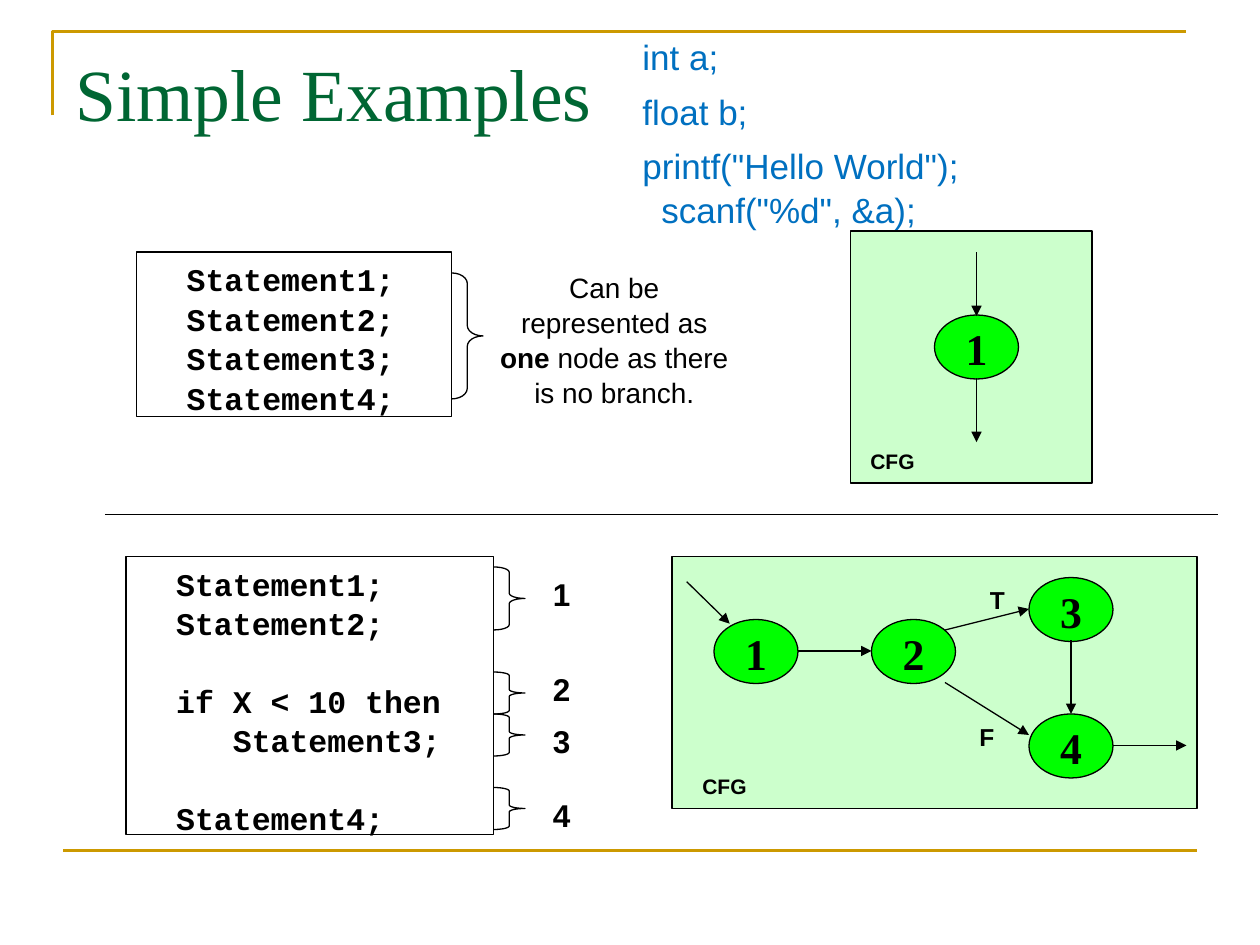
import pptx
import pptx.util
import pptx.dml.color
import pptx.enum.shapes
import pptx.enum.text
import pptx.oxml.ns
import lxml.etree

PX = 7620
BLACK = "000000"
GOLD = "CC9900"
SHAPES = pptx.enum.shapes.MSO_SHAPE
ALIGN = pptx.enum.text.PP_ALIGN
ANCHOR = pptx.enum.text.MSO_ANCHOR
CODE = {"name": "Courier New", "size": 18, "bold": True}
NODE = {"name": "Times New Roman", "size": 25, "bold": True}
TITLE = {"name": "Times New Roman", "size": 42, "color": "006633"}
DECLARATION = {"name": "Arial", "size": 20, "color": "0070C0"}
NOTE = {"name": "Arial", "size": 16}


def label_font(size):
    return {"name": "Arial", "size": size, "bold": True}


def px(*lengths):
    return [pptx.util.Emu(length * PX) for length in lengths]


def paint(color_format, value):
    color_format.rgb = pptx.dml.color.RGBColor.from_string(value)


def set_font(font, values):
    for name, value in {"color": BLACK, **values}.items():
        if name == "color":
            paint(font.color, value)
        else:
            setattr(font, name, pptx.util.Pt(value) if name == "size" else value)


def style_outline(shape, fill=None, color=BLACK, width=0.75):
    shape.shadow.inherit = False
    if fill:
        shape.fill.solid()
        paint(shape.fill.fore_color, fill)
    else:
        shape.fill.background()
    paint(shape.line.color, color)
    shape.line.width = pptx.util.Pt(width)


def add_shape(slide, kind, box, **style):
    shape = slide.shapes.add_shape(kind, *px(*box))
    style_outline(shape, **style)
    return shape


def write(shape, lines, font, align=ALIGN.LEFT, anchor=ANCHOR.TOP, wrap=True):
    frame = shape.text_frame
    frame.word_wrap = wrap
    frame.vertical_anchor = anchor
    for index, line in enumerate(lines):
        paragraph = frame.add_paragraph() if index else frame.paragraphs[0]
        paragraph.alignment = align
        paragraph.line_spacing = 1.05
        for text, emphasis in [(line, {})] if isinstance(line, str) else line:
            run = paragraph.add_run()
            run.text = text
            set_font(run.font, {**font, **emphasis})
    return frame.paragraphs


def add_text(slide, box, lines, font, align=ALIGN.LEFT):
    return write(slide.shapes.add_textbox(*px(*box)), lines, font, align)


def add_line(slide, start, end, color=BLACK, width=0.75, arrow=False):
    line = slide.shapes.add_connector(
        pptx.enum.shapes.MSO_CONNECTOR.STRAIGHT, *px(*start, *end))
    paint(line.line.color, color)
    line.line.width = pptx.util.Pt(width)
    if arrow:
        head = lxml.etree.SubElement(
            line.line._get_or_add_ln(), pptx.oxml.ns.qn("a:tailEnd"))
        head.set("type", "triangle")
    lxml.etree.SubElement(line._element.spPr, pptx.oxml.ns.qn("a:effectLst"))


def add_frame(slide, left, top, width, height):
    builder = slide.shapes.build_freeform(left, top + height, scale=PX)
    builder.add_line_segments([(left, top), (left + width, top)], close=False)
    style_outline(builder.convert_to_shape(), color=GOLD, width=1.5)
    add_line(slide, (60, 810), (1140, 810), GOLD, 1.5)


def add_header(slide, left, top, width, height):
    add_text(slide, (left, top, width, height), ["Simple Examples"], TITLE)
    paragraphs = add_text(
        slide, (left + 540, top - 10, 340, 192),
        ["int a;", "float b;", 'printf("Hello World"); scanf("%d", &a);'],
        DECLARATION)
    for paragraph in paragraphs[1:]:
        paragraph.space_before = pptx.util.Pt(6)
    properties = paragraphs[-1]._p.get_or_add_pPr()
    properties.set("marL", str(18 * PX))
    properties.set("indent", str(-18 * PX))


def add_code(slide, left, top, width, height, lines, braces, gaps=()):
    box = add_shape(slide, SHAPES.RECTANGLE, (left, top, width, height))
    paragraphs = write(box, lines, CODE)
    for index in gaps:
        paragraphs[index].space_before = pptx.util.Pt(21.6)
    for offset, length in braces:
        brace = add_shape(slide, SHAPES.RIGHT_BRACE,
                          (left + width, top + offset, 30, length))
        brace.adjustments[0] = length / 12 / 30


def add_graph(slide, left, top, width, height, nodes, edges, labels):
    add_shape(slide, SHAPES.RECTANGLE, (left, top, width, height),
              fill="CCFFCC", width=1)
    for number, (x, y) in enumerate(nodes, 1):
        node = add_shape(slide, SHAPES.OVAL, (left + x, top + y, 80, 61),
                         fill="00FF00")
        write(node, [str(number)], NODE, ALIGN.CENTER, ANCHOR.MIDDLE, False)
    for x1, y1, x2, y2 in edges:
        add_line(slide, (left + x1, top + y1), (left + x2, top + y2), arrow=True)
    for text, size, x, y, label_width in labels:
        add_text(slide, (left + x, top + y, label_width, 40), [text],
                 label_font(size), ALIGN.CENTER)


def add_sequence_example(slide, left, top):
    add_code(slide, left, top, 300, 157,
             [f"  Statement{number};" for number in range(1, 5)], [(20, 120)])
    add_text(slide, (left + 330, top + 10, 250, 140),
             [[("Can be represented as ", {}), ("one ", {"bold": True}),
               ("node as there is no branch.", {})]], NOTE, ALIGN.CENTER)
    add_graph(slide, left + 680, top - 20, 230, 240, [(80, 80)],
              [(120, 20, 120, 81), (120, 140, 120, 201)],
              [("CFG", 12, 0, 200, 80)])


def add_branch_example(slide, left, top):
    add_code(slide, left, top, 350, 265,
             ["  Statement1;", "  Statement2;", "  if X < 10 then",
              "     Statement3;", "  Statement4;"],
             [(10, 60), (110, 40), (150, 40), (220, 40)], gaps=(2, 4))
    for number, offset in enumerate((10, 100, 150, 220), 1):
        add_text(slide, (left + 390, top + offset, 50, 48), [str(number)],
                 label_font(18), ALIGN.CENTER)
    add_graph(slide, left + 520, top, 500, 240,
              [(40, 60), (190, 60), (340, 20), (340, 150)],
              [(14, 24, 55, 64), (120, 90, 190, 90), (260, 70, 340, 50),
               (260, 120, 340, 170), (380, 80, 380, 150), (420, 180, 490, 180)],
              [("CFG", 12, 10, 200, 80), ("T", 14, 280, 20, 60),
               ("F", 14, 270, 150, 60)])


def main():
    presentation = pptx.Presentation()
    presentation.slide_width, presentation.slide_height = px(1200, 900)
    slide = presentation.slides.add_slide(presentation.slide_layouts[6])
    add_frame(slide, 50, 30, 1080, 80)
    add_header(slide, 60, 36, 1080, 150)
    add_sequence_example(slide, 130, 240)
    add_line(slide, (100, 490), (1160, 490), width=1)
    add_branch_example(slide, 120, 530)
    presentation.save("out.pptx")


if __name__ == "__main__":
    main()
